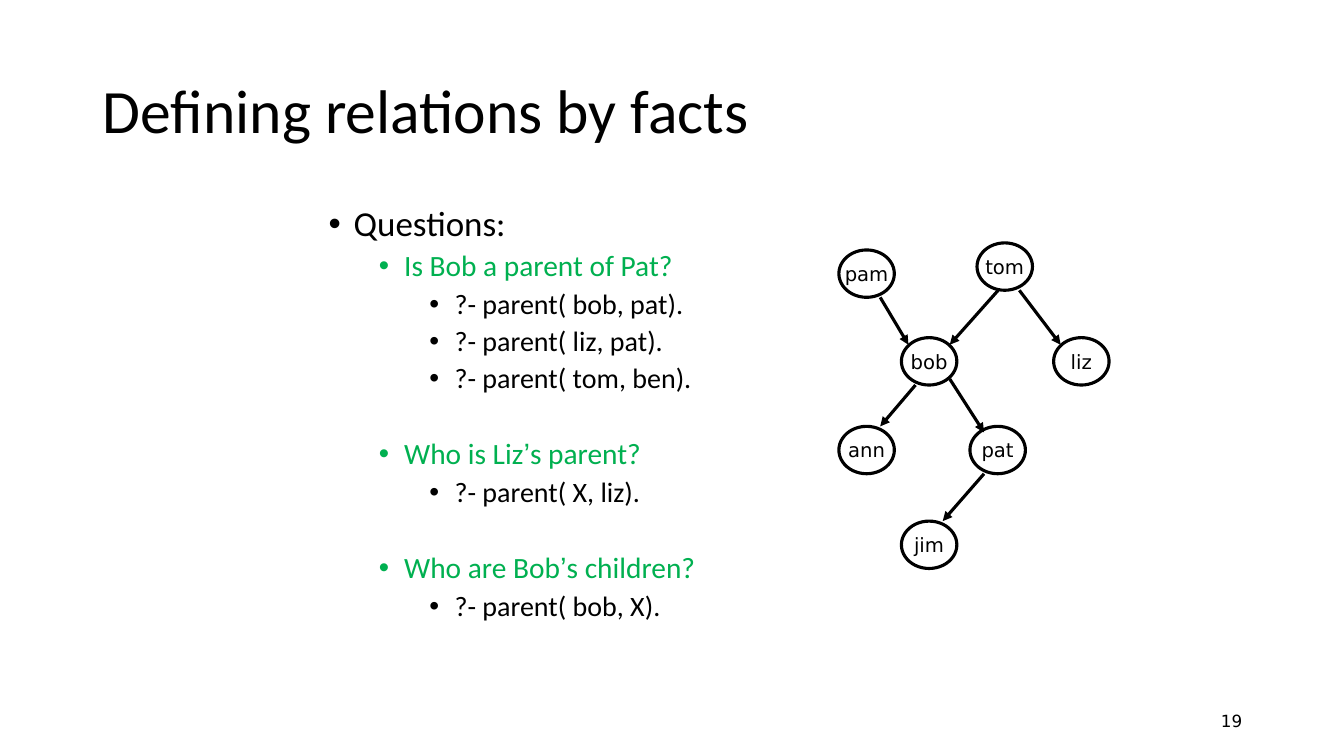
from lxml.etree import SubElement
from pptx import Presentation
from pptx.dml.color import RGBColor
from pptx.enum.shapes import MSO_CONNECTOR, MSO_SHAPE
from pptx.enum.text import MSO_ANCHOR, MSO_AUTO_SIZE, PP_ALIGN
from pptx.oxml.ns import qn
from pptx.util import Pt

PX = 9144  # 100 px to the inch
BLACK = RGBColor(0x00, 0x00, 0x00)
WHITE = RGBColor(0xFF, 0xFF, 0xFF)
GREEN = RGBColor(0x00, 0xB0, 0x50)

HEADING, QUESTION, QUERY = range(3)
LEVEL_FONTS = {
    HEADING: {"name": "Calibri", "size": Pt(25), "color": BLACK},
    QUESTION: {"name": "Calibri", "size": Pt(21), "color": GREEN},
    QUERY: {"name": "Calibri", "size": Pt(20), "color": BLACK},
}
TITLE_FONT = {"name": "Calibri", "size": Pt(44), "color": BLACK}
NODE_FONT = {"name": "DejaVu Sans", "size": Pt(14), "color": BLACK}
NUMBER_FONT = {"name": "DejaVu Sans", "size": Pt(12), "color": BLACK}

# Level, text, space before in points
OUTLINE = [
    (HEADING, "Questions:", 10),
    (QUESTION, "Is Bob a parent of Pat?", 5),
    (QUERY, "?- parent( bob, pat).", 5),
    (QUERY, "?- parent( liz, pat).", 5),
    (QUERY, "?- parent( tom, ben).", 5),
    (QUESTION, "Who is Liz’s parent?", 32),
    (QUERY, "?- parent( X, liz).", 5),
    (QUESTION, "Who are Bob’s children?", 32),
    (QUERY, "?- parent( bob, X).", 5),
]
NODE_SIZE = (55, 47)
PEOPLE = {
    "pam": (832, 248),
    "liz": (1045, 335),
    "bob": (894, 335),
    "jim": (894, 517),
    "pat": (962, 423),
    "ann": (832, 423),
    "tom": (969, 241),
}
# Start and end points, from parent to child
PARENT_ARROWS = {
    ("pam", "bob"): (873, 295, 901, 342),
    ("tom", "bob"): (990, 288, 942, 342),
    ("tom", "liz"): (1011, 288, 1052, 342),
    ("bob", "ann"): (908, 382, 873, 423),
    ("bob", "pat"): (942, 376, 976, 429),
    ("pat", "jim"): (976, 470, 935, 517),
}


def px(*lengths):
    return [length * PX for length in lengths]


def add_span(para, text, font_format):
    span = para.add_run()
    span.text = text
    for name, value in font_format.items():
        if name == "color":
            span.font.color.rgb = value
        else:
            setattr(span.font, name, value)


def set_format(target, **values):
    for name, value in values.items():
        setattr(target, name, value)


def set_bullet(para, level):
    """Indent a paragraph half an inch per level and give it a round bullet."""
    properties = para._p.get_or_add_pPr()
    properties.set("marL", str(PX * (25 + 50 * level)))
    properties.set("indent", str(-PX * 25))
    SubElement(properties, qn("a:buFont"), typeface="Arial")
    SubElement(properties, qn("a:buChar"), char="•")


def add_title(page, text):
    title = page.shapes.title
    left, top, width, height = px(92, 40, 1150, 145)
    set_format(title, left=left, top=top, width=width, height=height)
    set_format(title.text_frame, vertical_anchor=MSO_ANCHOR.MIDDLE,
               auto_size=MSO_AUTO_SIZE.NONE, word_wrap=True)
    para = title.text_frame.paragraphs[0]
    set_format(para, alignment=PP_ALIGN.LEFT, line_spacing=0.9)
    add_span(para, text, TITLE_FONT)


def add_outline(page):
    frame = page.shapes.add_textbox(*px(316, 200, 775, 514)).text_frame
    frame.word_wrap = True
    for index, (level, text, gap) in enumerate(OUTLINE):
        para = frame.add_paragraph() if index else frame.paragraphs[0]
        set_format(para, level=level, line_spacing=0.9, space_before=Pt(gap))
        set_bullet(para, level)
        for part in filter(None, text.partition("’")):
            font_name = "Arial" if part == "’" else "Calibri"
            add_span(para, part, LEVEL_FONTS[level] | {"name": font_name})


def add_person(shapes, name, left, top):
    node = shapes.add_shape(MSO_SHAPE.OVAL, *px(left, top, *NODE_SIZE))
    node.shadow.inherit = False
    node.fill.solid()
    node.fill.fore_color.rgb = WHITE
    node.line.color.rgb = BLACK
    node.line.width = Pt(2.25)
    set_format(node.text_frame, word_wrap=False,
               vertical_anchor=MSO_ANCHOR.MIDDLE)
    para = node.text_frame.paragraphs[0]
    para.alignment = PP_ALIGN.CENTER
    add_span(para, name, NODE_FONT)


def add_arrow(shapes, points):
    arrow = shapes.add_connector(MSO_CONNECTOR.STRAIGHT, *px(*points))
    arrow.line.color.rgb = BLACK
    arrow.line.width = Pt(2.25)
    SubElement(arrow.line._get_or_add_ln(), qn("a:tailEnd"), type="triangle")
    SubElement(arrow._element.spPr, qn("a:effectLst"))


def add_family_tree(page):
    shapes = page.shapes.add_group_shape().shapes
    for name, (left, top) in PEOPLE.items():
        add_person(shapes, name, left, top)
    for points in PARENT_ARROWS.values():
        add_arrow(shapes, points)


def add_page_number(page, number):
    frame = page.shapes.add_textbox(*px(942, 695, 300, 40)).text_frame
    set_format(frame, word_wrap=True, vertical_anchor=MSO_ANCHOR.MIDDLE)
    para = frame.paragraphs[0]
    para.alignment = PP_ALIGN.RIGHT
    add_span(para, number, NUMBER_FONT)


def main():
    deck = Presentation()
    deck.slide_width, deck.slide_height = px(1333, 750)
    page = deck.slides.add_slide(deck.slide_layouts.get_by_name("Title Only"))
    add_title(page, "Defining relations by facts")
    add_outline(page)
    add_family_tree(page)
    add_page_number(page, "19")
    deck.save("out.pptx")


if __name__ == "__main__":
    main()
